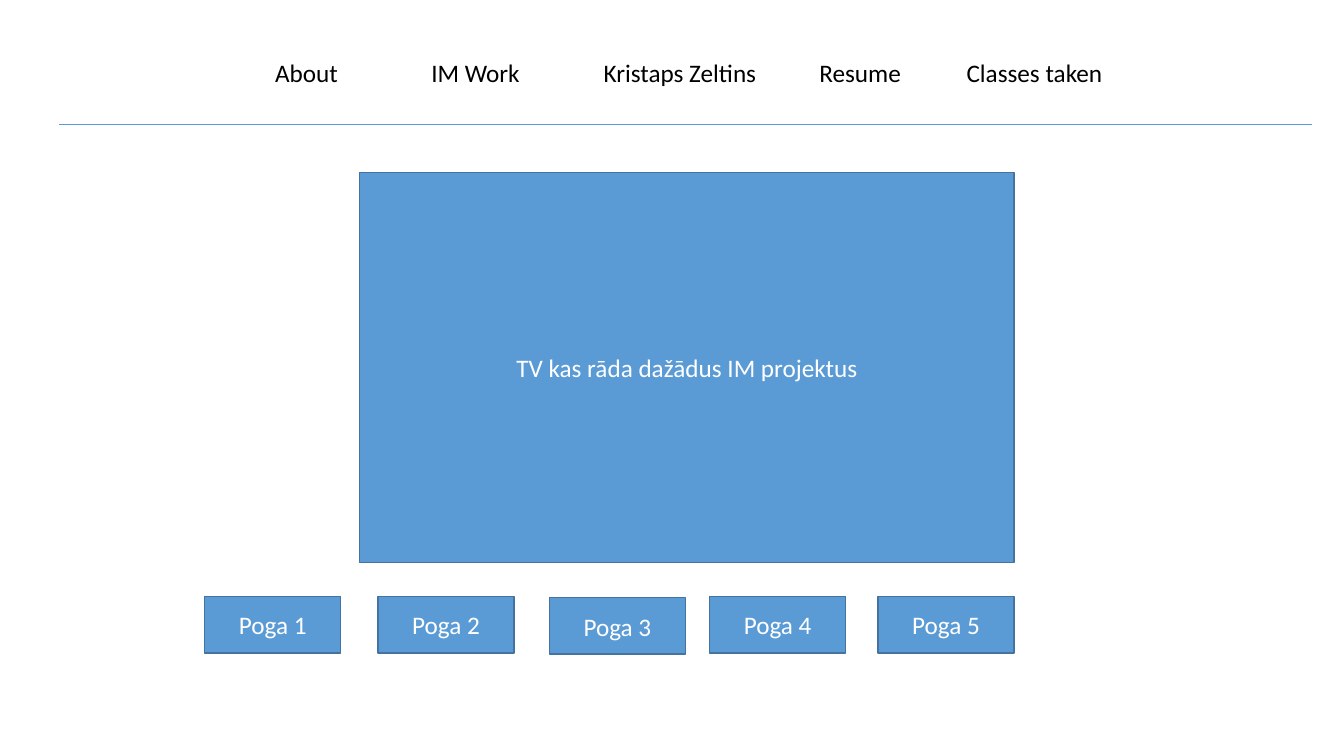
from pptx import Presentation
from pptx.dml.color import RGBColor
from pptx.enum.shapes import MSO_CONNECTOR, MSO_SHAPE
from pptx.enum.text import MSO_ANCHOR, MSO_AUTO_SIZE, PP_ALIGN
from pptx.oxml.ns import qn
from pptx.util import Pt
from lxml import etree

STRAIGHT, RECTANGLE = MSO_CONNECTOR.STRAIGHT, MSO_SHAPE.RECTANGLE
MIDDLE, CENTER = MSO_ANCHOR.MIDDLE, PP_ALIGN.CENTER
GROW = MSO_AUTO_SIZE.SHAPE_TO_FIT_TEXT

FONT, TEXT_SIZE = "Calibri", 18
BLUE, DARK_BLUE, WHITE, BLACK = "5B9BD5", "43739E", "FFFFFF", "000000"

# Menu entries: text, left, width
MENU = [
    ("About", 189.4, 67.7),
    ("IM Work", 301, 114.5),
    ("Kristaps Zeltins", 424.1, 131.8),
    ("Resume", 578.2, 82.8),
    ("Classes taken", 683.3, 135.4),
]
MENU_TOP, MENU_HEIGHT = 37.4, 28.8
RULE_LEFT, RULE_RIGHT, RULE_TOP = 42.5, 937.4, 88.6

SCREEN = ("TV kas rāda dažādus IM projektus", 257, 123.1, 467.3, 278.6)

# Buttons: text, left, top
BUTTONS = [
    ("Poga 1", 146.2, 426.2),
    ("Poga 2", 270, 426.2),
    ("Poga 3", 392.4, 427),
    ("Poga 4", 506.9, 426.2),
    ("Poga 5", 627.1, 426.2),
]
BUTTON_WIDTH, BUTTON_HEIGHT = 97.2, 40.3


def color(hex_value):
    """Turn a hex string into a colour."""
    return RGBColor.from_string(hex_value)


def write(shape, text, text_color):
    """Put one paragraph of text in a shape and return the paragraph."""
    paragraph = shape.text_frame.paragraphs[0]
    paragraph.text = text
    paragraph.font.name = FONT
    paragraph.font.size = Pt(TEXT_SIZE)
    paragraph.font.color.rgb = color(text_color)
    return paragraph


def add_menu_entry(slide, text, left, width):
    """Add one entry of the top menu."""
    box = slide.shapes.add_textbox(Pt(left), Pt(MENU_TOP), Pt(width), Pt(MENU_HEIGHT))
    box.text_frame.word_wrap = True
    box.text_frame.auto_size = GROW
    write(box, text, BLACK)


def add_rule(slide):
    """Add the thin line below the menu."""
    rule = slide.shapes.add_connector(
        STRAIGHT, Pt(RULE_LEFT), Pt(RULE_TOP), Pt(RULE_RIGHT), Pt(RULE_TOP))
    rule.line.color.rgb = color(BLUE)
    rule.line.width = Pt(0.5)
    etree.SubElement(rule.line._get_or_add_ln().getparent(), qn("a:effectLst"))


def add_panel(slide, text, left, top, width, height):
    """Add a blue rectangle with centred white text."""
    panel = slide.shapes.add_shape(RECTANGLE, Pt(left), Pt(top), Pt(width), Pt(height))
    panel.shadow.inherit = False
    panel.fill.solid()
    panel.fill.fore_color.rgb = color(BLUE)
    panel.line.color.rgb = color(DARK_BLUE)
    panel.line.width = Pt(1)
    panel.text_frame.word_wrap = True
    panel.text_frame.vertical_anchor = MIDDLE
    write(panel, text, WHITE).alignment = CENTER


presentation = Presentation()
presentation.slide_width, presentation.slide_height = Pt(960), Pt(540)
slide = presentation.slides.add_slide(presentation.slide_layouts[6])

add_rule(slide)
for text, left, width in MENU:
    add_menu_entry(slide, text, left, width)
add_panel(slide, *SCREEN)
for text, left, top in BUTTONS:
    add_panel(slide, text, left, top, BUTTON_WIDTH, BUTTON_HEIGHT)

presentation.save("out.pptx")
